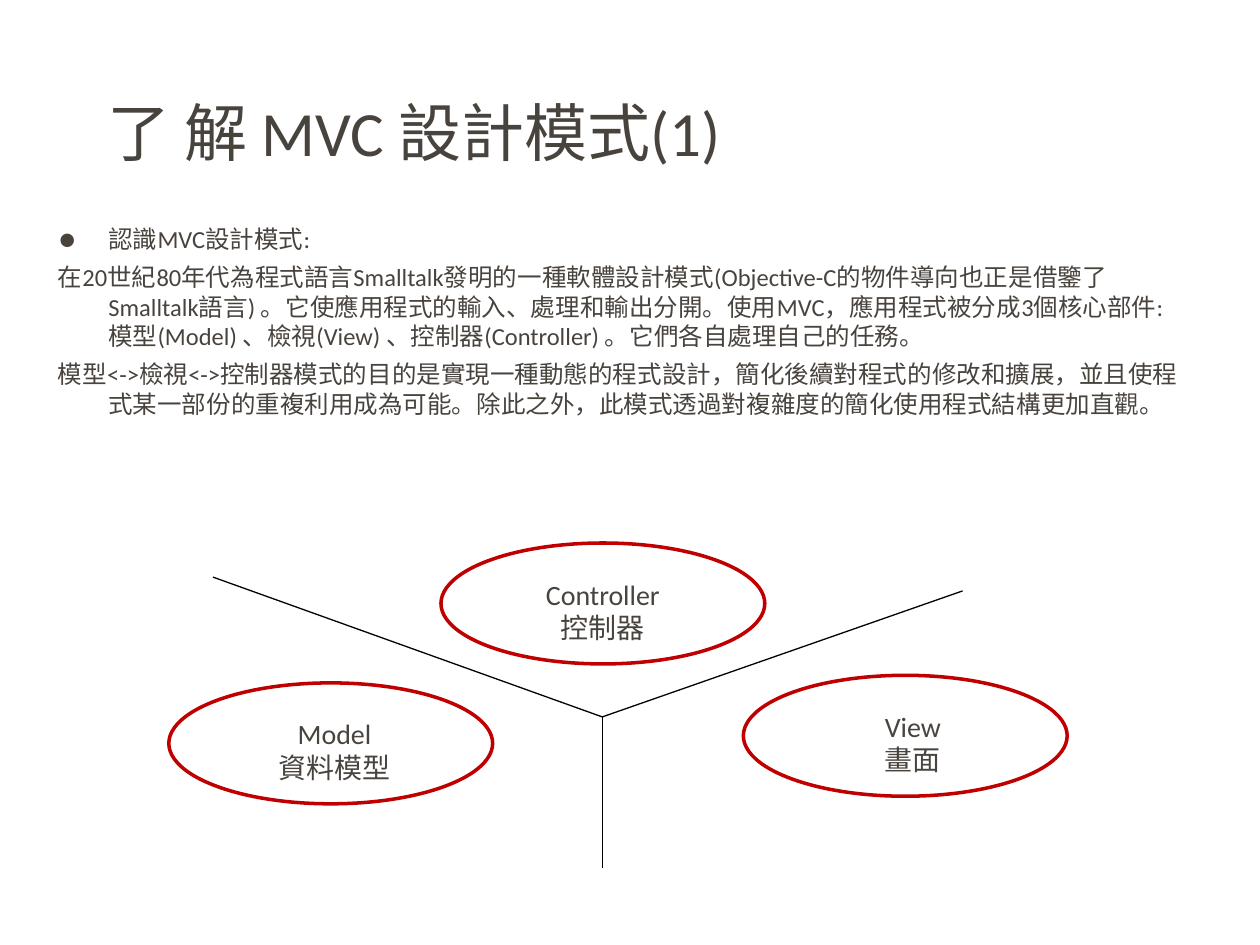
from dataclasses import dataclass

from lxml.etree import SubElement
from pptx import Presentation
from pptx.dml.color import RGBColor
from pptx.enum.shapes import MSO_CONNECTOR as Connector, MSO_SHAPE as Shape
from pptx.enum.text import MSO_ANCHOR as Anchor, MSO_AUTO_SIZE as AutoSize, PP_ALIGN as Align
from pptx.oxml.ns import qn
from pptx.util import Inches, Pt

INK = "49433E"
RED = "C00000"
BLACK = "000000"
FONT = "Calibri"
ROLE_WIDTH, ROLE_HEIGHT = 2.57, 0.96
LABEL_DROP, LABEL_HEIGHT = 0.23, 0.62
HUB = (4.78, 5.69)


@dataclass(frozen=True)
class Role:
    name: str
    meaning: str
    left: float
    top: float
    label_left: float
    label_width: float


ROLES = [
    Role("Controller", "控制器", 3.5, 4.31, 4.22, 1.13),
    Role("Model", "資料模型", 1.34, 5.42, 2.17, 0.97),
    Role("View", "畫面", 5.9, 5.36, 6.96, 0.57),
]
BOUNDARY_ENDS = [(1.69, 4.58), (4.78, 6.89), (7.64, 4.69)]

TITLE = "了 解 MVC 設計模式(1)"
HEADING = "認識MVC設計模式:"
ORIGIN = (
    "在20世紀80年代為程式語言Smalltalk發明的一種軟體設計模式"
    "(Objective-C的物件導向也正是借鑒了Smalltalk語言) 。"
    "它使應用程式的輸入、處理和輸出分開。使用MVC，應用程式被分成3個核心部件:"
    "模型(Model) 、檢視(View) 、控制器(Controller) 。它們各自處理自己的任務。"
)
PURPOSE = (
    "模型<->檢視<->控制器模式的目的是實現一種動態的程式設計，"
    "簡化後續對程式的修改和擴展，並且使程式某一部份的重複利用成為可能。"
    "除此之外，此模式透過對複雜度的簡化使用程式結構更加直觀。"
)


def color(value: str) -> RGBColor:
    return RGBColor.from_string(value)


def add_bullet(paragraph) -> None:
    props = paragraph._p.get_or_add_pPr()
    tint = SubElement(props, qn("a:buClr"))
    SubElement(tint, qn("a:srgbClr"), val=INK)
    SubElement(props, qn("a:buSzPct"), val="155000")
    SubElement(props, qn("a:buFont"), typeface=FONT)
    SubElement(props, qn("a:buChar"), char="•")


def add_text(shapes, lines: list[str], left: float, top: float, width: float, height: float, *,
             size: float, align=Align.LEFT, anchor=Anchor.TOP, wrap: bool = True,
             auto_size=AutoSize.NONE, hanging: float = 0, gap: float = 0,
             bulleted: int = 0) -> None:
    frame = shapes.add_textbox(Inches(left), Inches(top), Inches(width), Inches(height)).text_frame
    frame.word_wrap = wrap
    frame.auto_size = auto_size
    frame.vertical_anchor = anchor
    frame.margin_left = frame.margin_right = Inches(0.04)
    frame.margin_top = frame.margin_bottom = Inches(0.04)
    for index, line in enumerate(lines):
        paragraph = frame.paragraphs[0] if index == 0 else frame.add_paragraph()
        if hanging:
            props = paragraph._p.get_or_add_pPr()
            props.set("marL", str(Inches(hanging)))
            props.set("indent", str(-Inches(hanging)))
        if index < bulleted:
            add_bullet(paragraph)
        paragraph.alignment = align
        if index and gap:
            paragraph.space_before = Pt(gap)
        run = paragraph.add_run()
        run.text = line
        run.font.name = FONT
        run.font.size = Pt(size)
        run.font.color.rgb = color(INK)


def add_role(shapes, role: Role) -> None:
    oval = shapes.add_shape(Shape.OVAL, Inches(role.left), Inches(role.top),
                            Inches(ROLE_WIDTH), Inches(ROLE_HEIGHT))
    oval.shadow.inherit = False
    oval.fill.background()
    oval.line.color.rgb = color(RED)
    oval.line.width = Pt(2)
    add_text(shapes, [role.name, role.meaning], role.label_left, role.top + LABEL_DROP,
             role.label_width, LABEL_HEIGHT, size=16, align=Align.CENTER, wrap=False,
             auto_size=AutoSize.SHAPE_TO_FIT_TEXT)


def add_boundary(shapes, end: tuple[float, float]) -> None:
    boundary = shapes.add_connector(Connector.STRAIGHT, *map(Inches, HUB), *map(Inches, end))
    boundary.line.color.rgb = color(BLACK)
    boundary.line.width = Pt(0.75)
    SubElement(boundary._element.spPr, qn("a:effectLst"))


def main() -> None:
    deck = Presentation()
    deck.slide_width, deck.slide_height = Inches(10), Inches(7.5)
    slide = deck.slides.add_slide(deck.slide_layouts[6])
    add_text(slide.shapes, [TITLE], 0.81, 0.4, 8.4, 1.28, size=36, anchor=Anchor.MIDDLE)
    add_text(slide.shapes, [HEADING, ORIGIN, PURPOSE], 0.42, 1.74, 9, 4.83,
             size=14, hanging=0.4, gap=5, bulleted=1)
    diagram = slide.shapes.add_group_shape().shapes
    for role in ROLES:
        add_role(diagram, role)
    for end in BOUNDARY_ENDS:
        add_boundary(diagram, end)
    deck.save("out.pptx")


if __name__ == "__main__":
    main()
